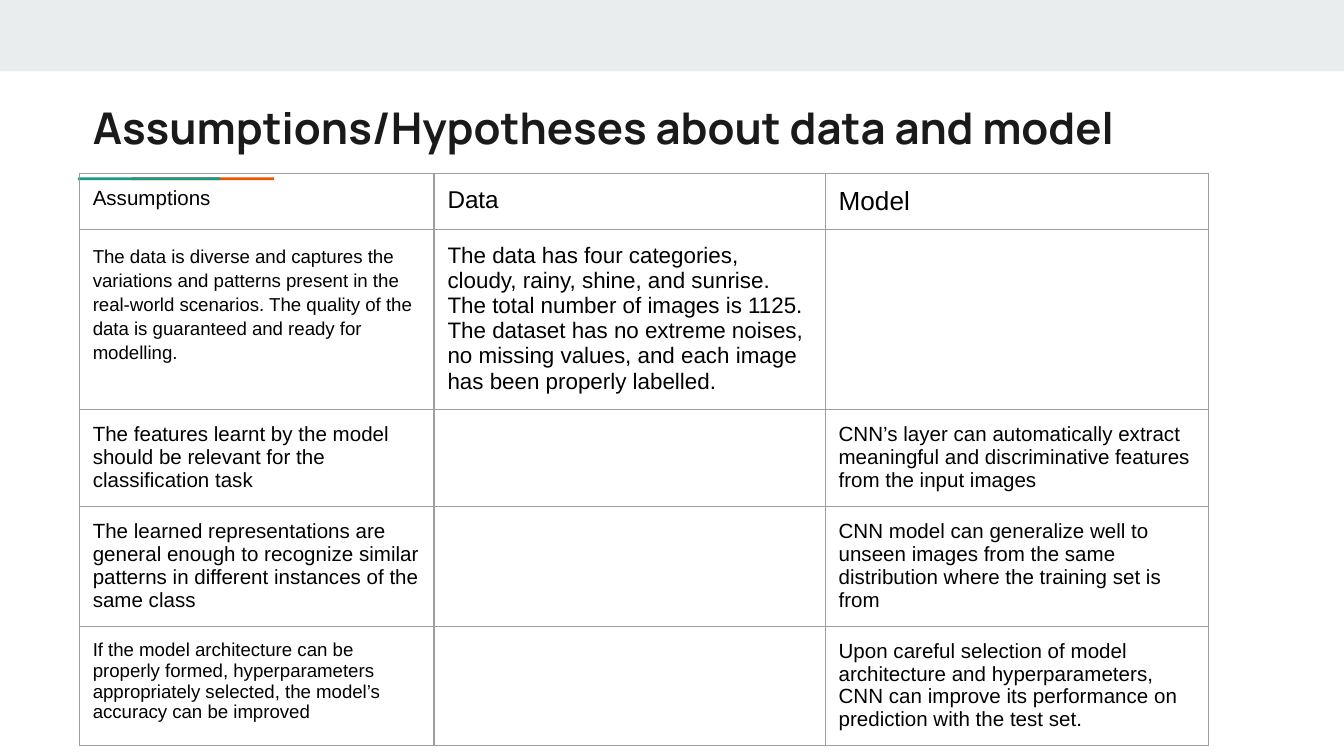
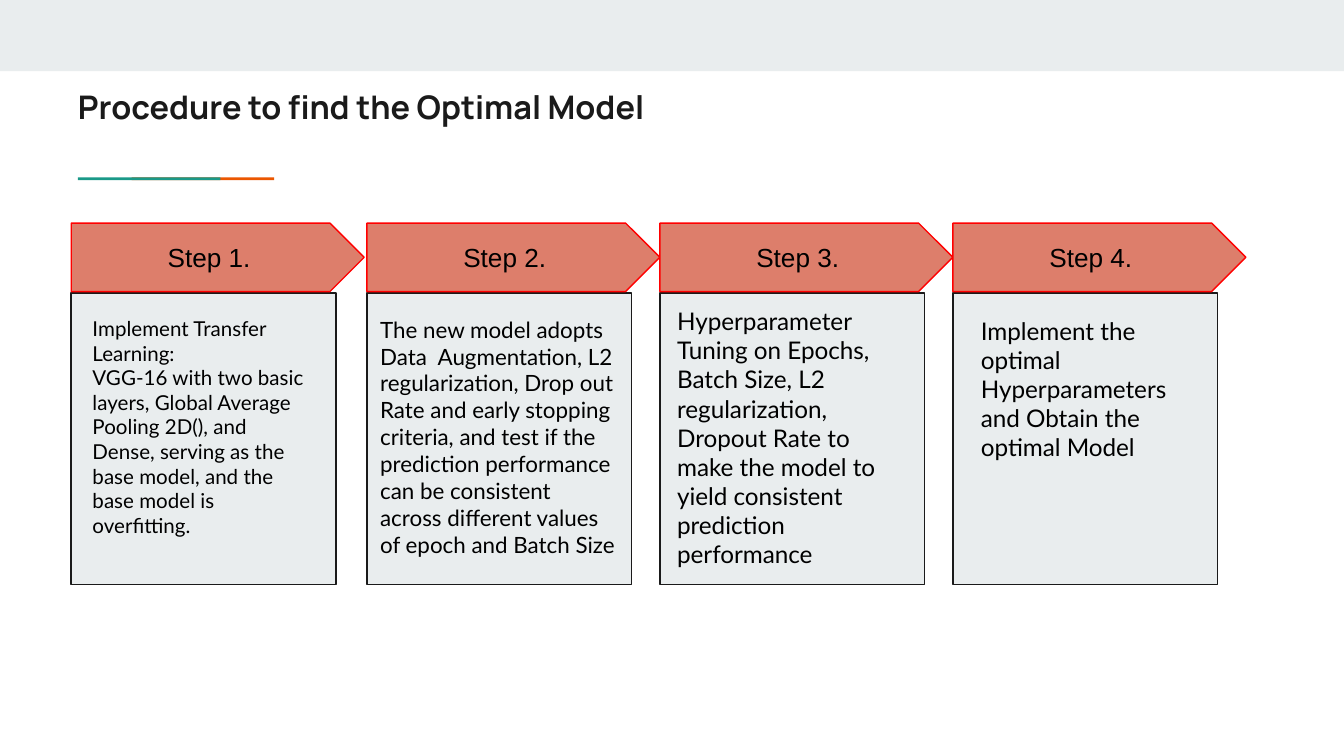
from lxml import etree
from pptx import Presentation
from pptx import util as u
from pptx.dml import color
from pptx.enum import shapes, text
from pptx.oxml import ns

BLACK, INK, MIST = "000000", "1A1A1A", "E9EDEE"
TEAL, ORANGE = "1A9988", "EB5600"
CORAL, RED, BORDER = "DD7E6B", "FF0000", "9E9E9E"

COLUMNS = [2.64, 2.91, 2.85]
ROWS = [0.42, 1.34, 0.72, 0.89, 0.89]
ASSUMPTIONS = [
    [("Assumptions", 11), ("Data", 13), ("Model", 14)],
    [("The data is diverse and captures the variations and patterns present in the "
      "real-world scenarios. The quality of the data is guaranteed and ready for modelling.", 10),
     ("The data has four categories, cloudy, rainy, shine, and sunrise. The total number of "
      "images is 1125. The dataset has no extreme noises, no missing values, and each image "
      "has been properly labelled.", 12),
     None],
    [("The features learnt by the model should be relevant for the classification task", 11),
     None,
     ("CNN’s layer can automatically extract meaningful and discriminative features from the "
      "input images", 11)],
    [("The learned representations are general enough to recognize similar patterns in "
      "different instances of the same class", 11),
     None,
     ("CNN model can generalize well to unseen images from the same distribution where the "
      "training set is from", 11)],
    [("If the model architecture can be properly formed, hyperparameters appropriately "
      "selected, the model’s accuracy can be improved", 10),
     None,
     ("Upon careful selection of model architecture and hyperparameters, CNN can improve its "
      "performance on prediction with the test set.", 11)],
]

STEPS = [
    (0.53, (0.06, 0.07, 1.83, 1.68), 11,
     "Implement Transfer Learning:\nVGG-16 with two basic layers, Global Average Pooling 2D(), "
     "and Dense, serving as the base model, and the base model is overfitting."),
    (2.73, (0, 0.07, 1.95, 2.02), 12,
     "The new model adopts Data  Augmentation, L2 regularization, Drop out Rate and early "
     "stopping criteria, and test if the prediction performance can be consistent across "
     "different values of epoch and Batch Size"),
    (4.91, (0.03, 0, 1.9, 2.17), 13,
     "Hyperparameter Tuning on Epochs, Batch Size, L2 regularization, Dropout Rate to make "
     "the model to yield consistent prediction performance"),
    (7.09, (0.11, 0.07, 1.69, 1.3), 13,
     "Implement the optimal Hyperparameters and Obtain the optimal Model"),
]


def rgb(value):
    """Turn a hex string into a colour."""
    return color.RGBColor.from_string(value)


def inches(box):
    """Turn a box of numbers into lengths."""
    return [u.Inches(value) for value in box]


def write(frame, content, size, font="Arial", colour=BLACK, bold=False,
          align=text.PP_ALIGN.LEFT, anchor=text.MSO_ANCHOR.TOP, spacing=None):
    """Fill a text frame or table cell with formatted paragraphs."""
    frame.margin_left = frame.margin_right = u.Inches(0.1)
    frame.margin_top = frame.margin_bottom = u.Inches(0.1)
    frame.vertical_anchor = anchor
    body = getattr(frame, "text_frame", frame)
    body.word_wrap = True
    body.text = content
    for paragraph in body.paragraphs:
        paragraph.alignment = align
        paragraph.line_spacing = spacing
        for run in paragraph.runs:
            run.font.size = u.Pt(size)
            run.font.name = font
            run.font.bold = bold
            run.font.color.rgb = rgb(colour)


def add_block(slide, box, fill, line=None, kind=shapes.MSO_SHAPE.RECTANGLE):
    """Draw a filled shape, outlined when a line colour is given."""
    shape = slide.shapes.add_shape(kind, *inches(box))
    shape.shadow.inherit = False
    shape.fill.solid()
    shape.fill.fore_color.rgb = rgb(fill)
    if line:
        shape.line.color.rgb = rgb(line)
        shape.line.width = u.Pt(0.75)
    else:
        shape.line.fill.background()
    return shape


def share_decoration(slide):
    """Give the layout of a slide the top band and the accent bar."""
    tree = slide.slide_layout.shapes._spTree
    for box, fill in (((0, 0, 10, 0.53), MIST),
                      ((0.98, 1.32, 1.06, 0.02), ORANGE),
                      ((0.58, 1.32, 1.06, 0.02), TEAL)):
        tree.append(add_block(slide, box, fill)._element)


def add_base(presentation, title, box, size):
    """Add a slide with its title."""
    slide = presentation.slides.add_slide(presentation.slide_layouts[5])
    heading = slide.shapes.title
    heading.left, heading.top, heading.width, heading.height = inches(box)
    write(heading.text_frame, title, size, font="Manrope", colour=INK, bold=True)
    heading.text_frame.auto_size = text.MSO_AUTO_SIZE.NONE
    return slide


def set_borders(cell):
    """Draw a thin grey line on all four sides of a cell."""
    properties = cell._tc.get_or_add_tcPr()
    for position, side in enumerate(("lnL", "lnR", "lnT", "lnB")):
        line = etree.Element(ns.qn("a:" + side), w=str(u.Pt(0.75)))
        fill = etree.SubElement(line, ns.qn("a:solidFill"))
        etree.SubElement(fill, ns.qn("a:srgbClr"), val=BORDER)
        properties.insert(position, line)


def add_assumption_table(slide, left, top):
    """Place the table of assumptions with its corner at left and top."""
    box = (left, top, sum(COLUMNS), sum(ROWS))
    table = slide.shapes.add_table(len(ROWS), len(COLUMNS), *inches(box)).table
    table.first_row = table.horz_banding = False
    for column, width in zip(table.columns, COLUMNS):
        column.width = u.Inches(width)
    for row, height, entries in zip(table.rows, ROWS, ASSUMPTIONS):
        row.height = u.Inches(height)
        for cell, entry in zip(row.cells, entries):
            cell.fill.background()
            set_borders(cell)
            if entry:
                content, size = entry
                write(cell, content, size, spacing=1.15 if entry is ASSUMPTIONS[1][0] else None)


def add_step(slide, left, top, label, note_box, size, note):
    """Place an arrow header with a box and its note below it."""
    body_top = top + 0.52
    add_block(slide, (left, body_top, 1.97, 2.17), MIST, INK)
    arrow = add_block(slide, (left, top, 2.18, 0.51), CORAL, RED, shapes.MSO_SHAPE.PENTAGON)
    write(arrow.text_frame, label, 14, align=text.PP_ALIGN.CENTER, anchor=text.MSO_ANCHOR.MIDDLE)
    x, y, width, height = note_box
    textbox = slide.shapes.add_textbox(*inches((left + x, body_top + y, width, height)))
    write(textbox.text_frame, note, size, font="Lato")


def build_assumptions(presentation):
    """Build the slide with the table of assumptions."""
    slide = add_base(presentation, "Assumptions/Hypotheses about data and model",
                     (0.59, 0.65, 8.41, 0.59), 23.4)
    share_decoration(slide)
    add_assumption_table(slide, 0.59, 1.29)


def build_procedure(presentation):
    """Build the slide with the four steps."""
    slide = add_base(presentation, "Procedure to find the Optimal Model",
                     (0.48, 0.55, 8.41, 0.59), 17.4)
    for number, (left, note_box, size, note) in enumerate(STEPS, 1):
        add_step(slide, left, 1.66, f"Step {number}.", note_box, size, note)


def main():
    """Build and save the presentation."""
    presentation = Presentation()
    presentation.slide_width = u.Inches(10)
    presentation.slide_height = u.Inches(10 * 9 / 16)
    build_assumptions(presentation)
    build_procedure(presentation)
    presentation.save("out.pptx")


if __name__ == "__main__":
    main()
